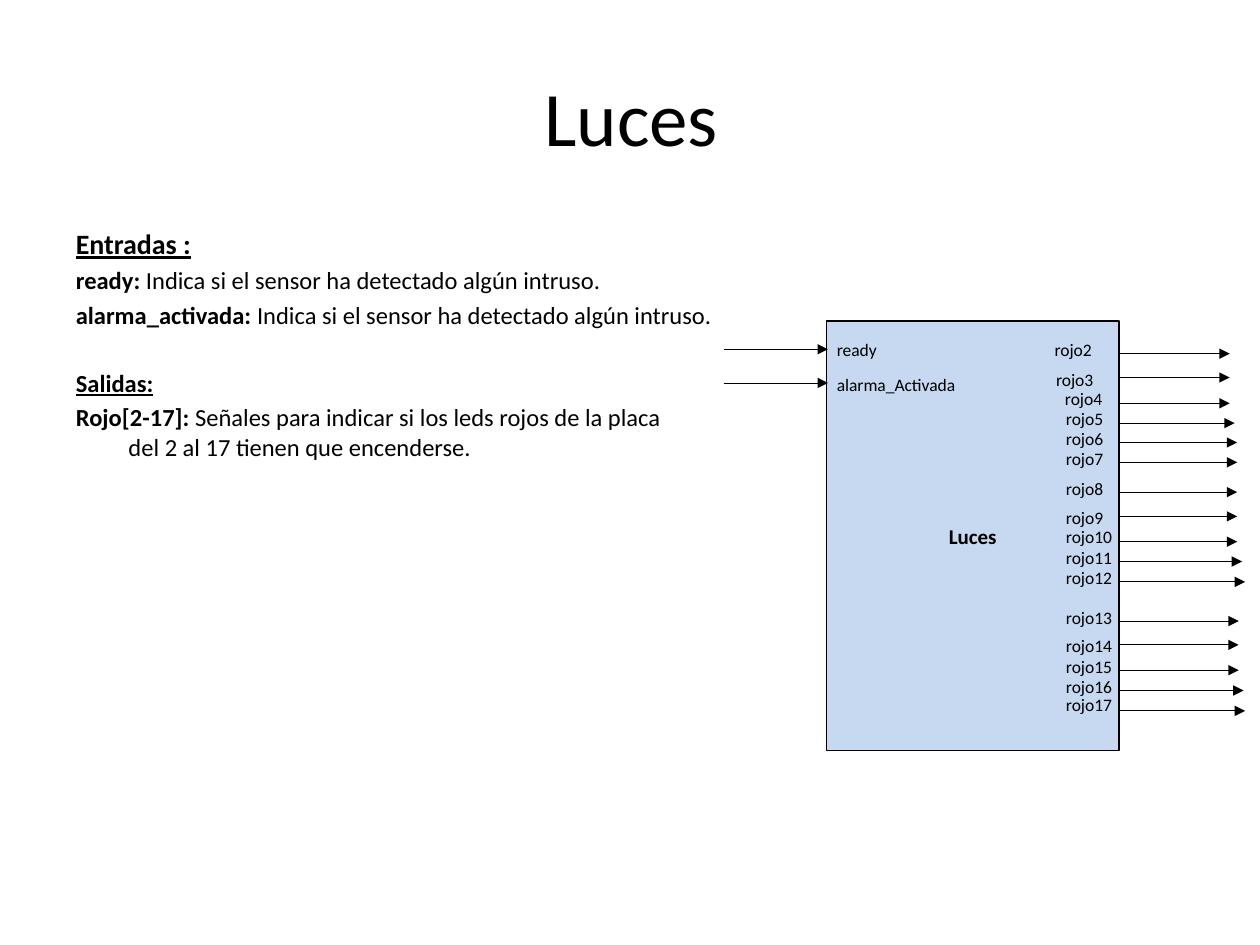
from dataclasses import dataclass

from lxml.etree import SubElement
from pptx import Presentation
from pptx.dml.color import RGBColor
from pptx.enum.shapes import MSO_CONNECTOR as Connector, MSO_SHAPE as Shape
from pptx.enum.text import MSO_ANCHOR as Anchor, PP_ALIGN as Align
from pptx.oxml.ns import qn
from pptx.util import Cm, Pt


@dataclass(frozen=True)
class Theme:
    font: str = "Calibri"
    ink: RGBColor = RGBColor(0x00, 0x00, 0x00)
    block: RGBColor = RGBColor(0xC6, 0xD9, 0xF1)
    title: float = 44
    heading: float = 16
    body: float = 14
    block_name: float = 12
    port: float = 10
    outline: float = 0.75
    wire: float = 0.5


THEME = Theme()
BLOCK_LEFT, BLOCK_TOP, BLOCK_WIDTH, BLOCK_HEIGHT = 16.66, 6.47, 5.9, 8.66
BLOCK_RIGHT = BLOCK_LEFT + BLOCK_WIDTH
PORT_WIDTH = 1.42

INPUTS = [
    ("ready", 6.48, 7.04, PORT_WIDTH),
    ("alarma_Activada", 7.19, 7.72, 3.2),
]

FIRST_OUTPUT = 2
OUTPUTS = [
    (21.08, 6.76, 7.13, 24.79),
    (21.11, 7.37, 7.61, 24.79),
    (21.29, 7.75, 8.13, 24.79),
    (21.31, 8.15, 8.53, 24.89),
    (21.31, 8.56, 8.92, 24.94),
    (21.31, 8.97, 9.32, 24.94),
    (21.31, 9.56, 9.92, 24.94),
    (21.31, 10.16, 10.41, 24.94),
    (21.31, 10.53, 10.92, 24.94),
    (21.31, 10.95, 11.32, 25.04),
    (21.31, 11.36, 11.73, 25.1),
    (21.31, 12.17, 12.52, 24.97),
    (21.31, 12.73, 13.0, 24.97),
    (21.31, 13.16, 13.51, 24.97),
    (21.31, 13.56, 13.92, 25.07),
    (21.31, 13.92, 14.33, 25.1),
]

DESCRIPTION = [
    ("Entradas :", "", THEME.heading, 0),
    ("ready: ", "Indica si el sensor ha detectado algún intruso.", THEME.body, 2.8),
    ("alarma_activada: ", "Indica si el sensor ha detectado algún intruso.", THEME.body, 2.9),
    ("Salidas:", "", THEME.body, 22),
    ("Rojo[2-17]: ", "Señales para indicar si los leds rojos de la placa\v"
     " del 2 al 17 tienen que encenderse.", THEME.body, 2.9),
]


def style(para, size):
    para.font.name = THEME.font
    para.font.size = Pt(size)
    para.font.color.rgb = THEME.ink


def add_text(page, left, top, width, height, text, size):
    box = page.shapes.add_textbox(Cm(left), Cm(top), Cm(width), Cm(height))
    frame = box.text_frame
    frame.word_wrap = True
    frame.vertical_anchor = Anchor.MIDDLE
    para = frame.paragraphs[0]
    para.text = text
    style(para, size)
    return frame


def add_title(page):
    frame = add_text(page, 1.3, 0.74, 22.86, 3.18, "Luces", THEME.title)
    frame.paragraphs[0].alignment = Align.CENTER


def add_description(page):
    frame = add_text(page, 1.28, 4.45, 22.86, 13.08, "", THEME.body)
    frame.vertical_anchor = Anchor.TOP
    for index, (term, meaning, size, gap) in enumerate(DESCRIPTION):
        para = frame.add_paragraph() if index else frame.paragraphs[0]
        style(para, size)
        para.space_before = Pt(gap)
        properties = para._p.get_or_add_pPr()
        properties.set("marL", str(Cm(0.95)))
        properties.set("indent", str(Cm(-0.95)))
        span = para.add_run()
        span.text = term
        span.font.bold = True
        span.font.underline = not meaning
        for number, line in enumerate(meaning.split("\v") if meaning else []):
            if number:
                para.add_line_break()
            para.add_run().text = line


def add_block(page):
    block = page.shapes.add_shape(
        Shape.RECTANGLE, Cm(BLOCK_LEFT), Cm(BLOCK_TOP), Cm(BLOCK_WIDTH), Cm(BLOCK_HEIGHT))
    block.shadow.inherit = False
    block.fill.solid()
    block.fill.fore_color.rgb = THEME.block
    block.line.color.rgb = THEME.ink
    block.line.width = Pt(THEME.outline)
    frame = block.text_frame
    frame.word_wrap = False
    frame.vertical_anchor = Anchor.MIDDLE
    para = frame.paragraphs[0]
    para.text = "Luces"
    para.alignment = Align.CENTER
    style(para, THEME.block_name)
    para.font.bold = True


def add_port(page, left, top, width, height, name):
    frame = add_text(page, left, top, width, height, f" {name}", THEME.port)
    frame.word_wrap = False
    frame.margin_left = frame.margin_right = Cm(0.1)
    frame.margin_top = frame.margin_bottom = Cm(0.13)


def add_wire(page, start, end, y):
    wire = page.shapes.add_connector(Connector.STRAIGHT, Cm(start), Cm(y), Cm(end), Cm(y))
    wire.line.color.rgb = THEME.ink
    wire.line.width = Pt(THEME.wire)
    SubElement(wire.line._get_or_add_ln(), qn("a:tailEnd"), type="triangle")
    SubElement(wire._element.spPr, qn("a:effectLst"))


def main():
    deck = Presentation()
    deck.slide_width, deck.slide_height = Cm(25.4), Cm(19.05)
    page = deck.slides.add_slide(deck.slide_layouts[6])
    add_title(page)
    add_description(page)
    add_block(page)
    for name, top, wire_y, width in INPUTS:
        add_wire(page, 14.59, 16.69, wire_y)
        add_port(page, 16.69, top, width, 1.14, name)
    for number, (left, top, wire_y, tip) in enumerate(OUTPUTS, FIRST_OUTPUT):
        add_wire(page, BLOCK_RIGHT, tip, wire_y)
        add_port(page, left, top, PORT_WIDTH, 0.56, f"rojo{number}")
    deck.save("out.pptx")


main()
